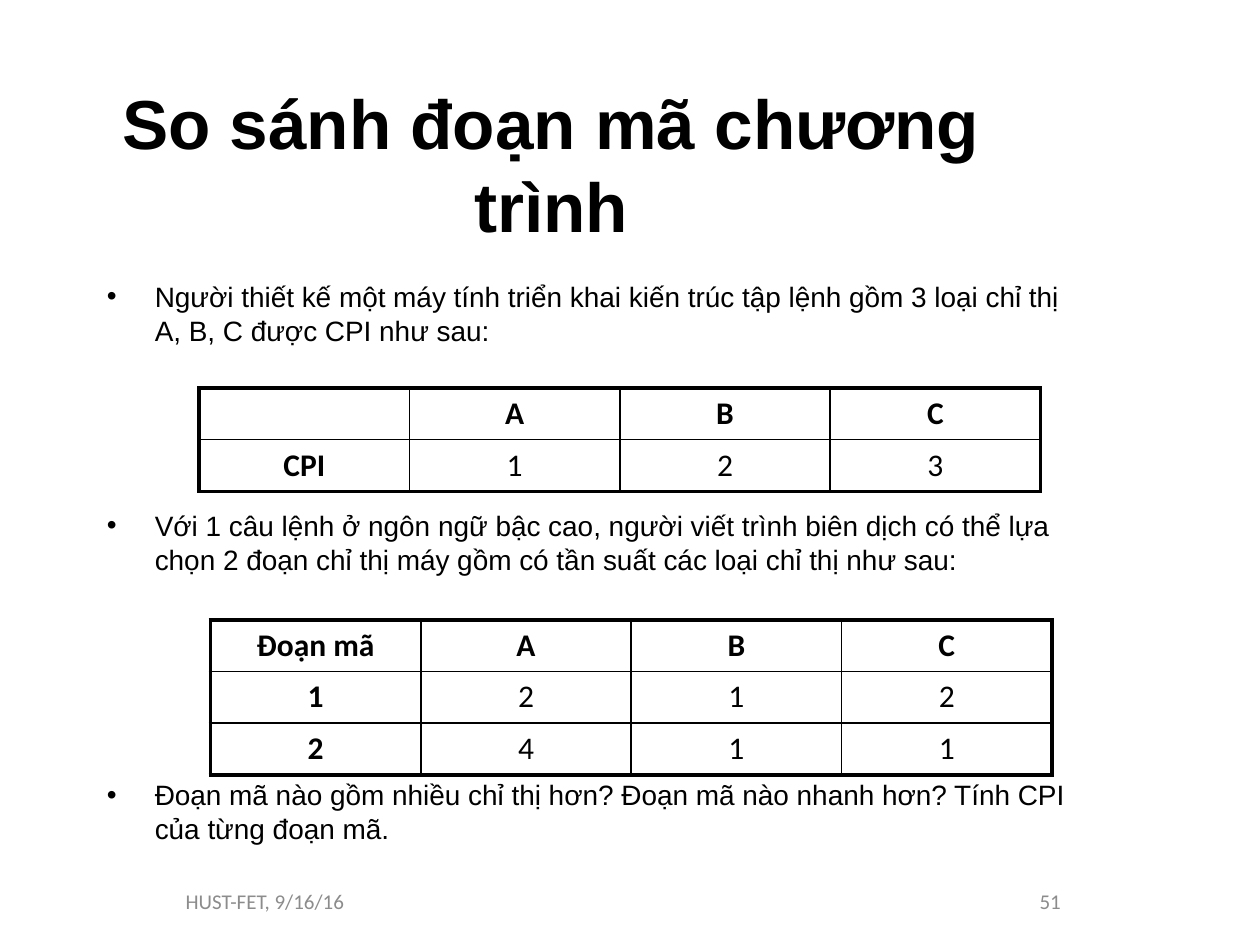
"""Build a slide that compares two code sequences by CPI."""
from lxml.etree import SubElement
from pptx import Presentation
from pptx.dml.color import RGBColor
from pptx.enum.text import MSO_ANCHOR, MSO_AUTO_SIZE, PP_ALIGN
from pptx.oxml.ns import qn
from pptx.util import Inches, Pt

COLORS = {"ink": "000000", "gray": "8C8C8C"}
THIN, THICK = 1, 2.25
COL, ROW = 1.67, 0.41
HANG = 0.38

POINTS = [
    (0, "Người thiết kế một máy tính triển khai kiến trúc tập lệnh gồm 3 loại chỉ thị A, B, C được CPI như sau:"),
    (92.5, "Với 1 câu lệnh ở ngôn ngữ bậc cao, người viết trình biên dịch có thể lựa chọn 2 đoạn chỉ thị máy gồm có tần suất các loại chỉ thị như sau:"),
    (115.5, "Đoạn mã nào gồm nhiều chỉ thị hơn? Đoạn mã nào nhanh hơn? Tính CPI của từng đoạn mã."),
]
COSTS = [["", "A", "B", "C"], ["CPI", "1", "2", "3"]]
COUNTS = [["Đoạn mã", "A", "B", "C"], ["1", "2", "1", "2"], ["2", "4", "1", "1"]]


def style(para, size, face, color="ink", bold=False, align=PP_ALIGN.LEFT):
    para.alignment = align
    font = para.font
    font.size, font.name, font.bold = Pt(size), face, bold
    font.color.rgb = RGBColor.from_string(COLORS[color])


def add_title(slide, text):
    title = slide.shapes.title
    title.left, title.top = Inches(0.5), Inches(0.67)
    title.width, title.height = Inches(7.75), Inches(1.25)
    frame = title.text_frame
    frame.text = text
    frame.auto_size = MSO_AUTO_SIZE.NONE
    frame.vertical_anchor = MSO_ANCHOR.MIDDLE
    style(frame.paragraphs[0], 39.6, "Arial", bold=True, align=PP_ALIGN.CENTER)


def add_box(slide, left, top, width, height):
    box = slide.shapes.add_textbox(Inches(left), Inches(top), Inches(width), Inches(height))
    box.text_frame.word_wrap = True
    return box.text_frame


def add_points(slide, points):
    frame = add_box(slide, 0.75, 2.17, 7.92, 5)
    for i, (gap, text) in enumerate(points):
        para = frame.add_paragraph() if i else frame.paragraphs[0]
        para.text = text
        props = para._p.get_or_add_pPr()
        props.set("marL", str(Inches(HANG)))
        props.set("indent", str(-Inches(HANG)))
        SubElement(props, qn("a:buFont"), typeface="Arial")
        SubElement(props, qn("a:buChar"), char="•")
        para.space_before = Pt(gap)
        style(para, 16, "Arial")


def add_foot(slide, left, text, align):
    frame = add_box(slide, left, 6.95, 2.33, 0.4)
    frame.vertical_anchor = MSO_ANCHOR.MIDDLE
    frame.text = text
    style(frame.paragraphs[0], 12, "Calibri", "gray", align=align)


def set_edges(cell, outer):
    props = cell._tc.get_or_add_tcPr()
    for side, thick in zip("LRTB", outer):
        width = str(Pt(THICK if thick else THIN))
        line = SubElement(props, qn(f"a:ln{side}"), w=width)
        fill = SubElement(line, qn("a:solidFill"))
        SubElement(fill, qn("a:srgbClr"), val=COLORS["ink"])
    cell.fill.background()


def add_grid(slide, left, top, data):
    rows, cols = len(data), len(data[0])
    table = slide.shapes.add_table(
        rows, cols, Inches(left), Inches(top), Inches(COL * cols), Inches(ROW * rows)
    ).table
    table.first_row = table.horz_banding = False
    for r, line in enumerate(data):
        table.rows[r].height = Inches(ROW)
        for c, text in enumerate(line):
            cell = table.cell(r, c)
            cell.text = text
            style(cell.text_frame.paragraphs[0], 18, "Calibri",
                  bold=r == 0 or c == 0, align=PP_ALIGN.CENTER)
            set_edges(cell, (c == 0, c == cols - 1, r == 0, r == rows - 1))


def main():
    deck = Presentation()
    deck.slide_width, deck.slide_height = Inches(10), Inches(7.5)
    slide = deck.slides.add_slide(deck.slide_layouts[5])
    add_title(slide, "So sánh đoạn mã chương trình")
    add_foot(slide, 0.5, "HUST-FET, 9/16/16", PP_ALIGN.RIGHT)
    add_foot(slide, 7.17, "51", PP_ALIGN.CENTER)
    add_points(slide, POINTS)
    add_grid(slide, 1.58, 3.08, COSTS)
    add_grid(slide, 1.67, 4.92, COUNTS)
    deck.save("out.pptx")


if __name__ == "__main__":
    main()
